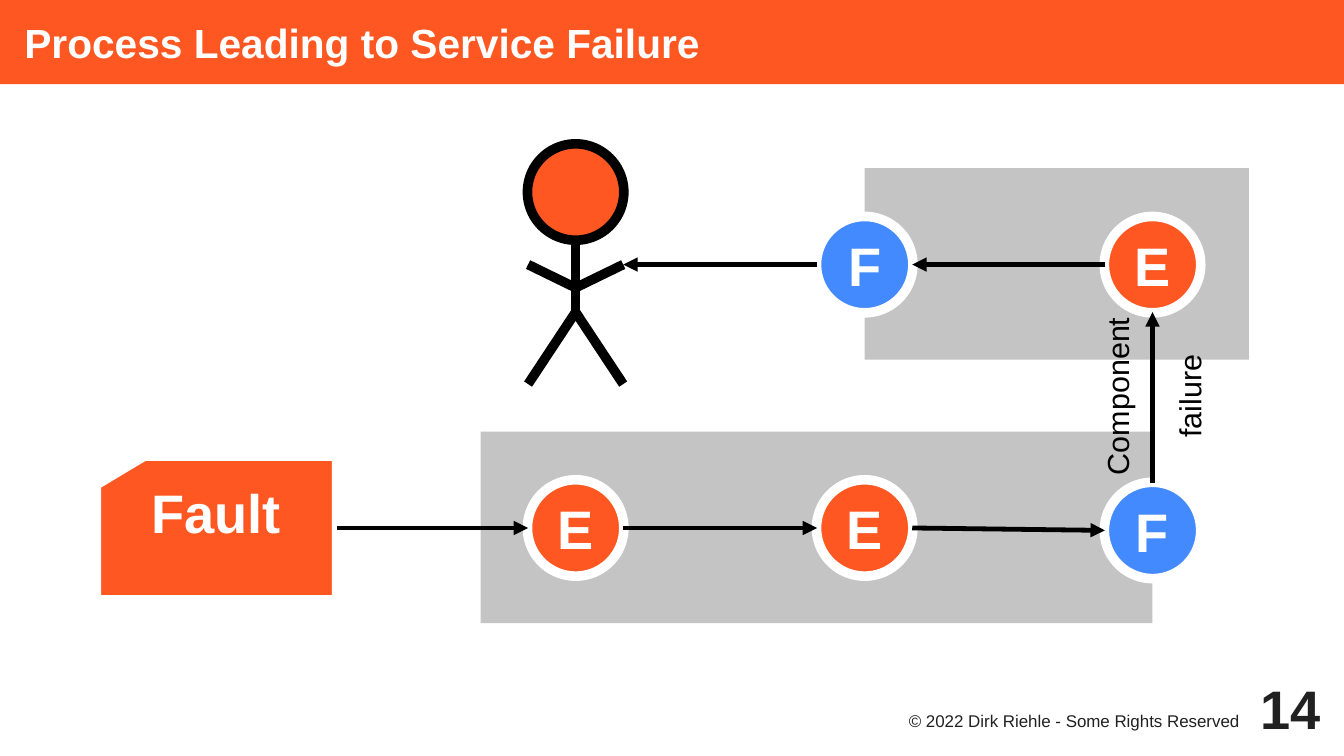
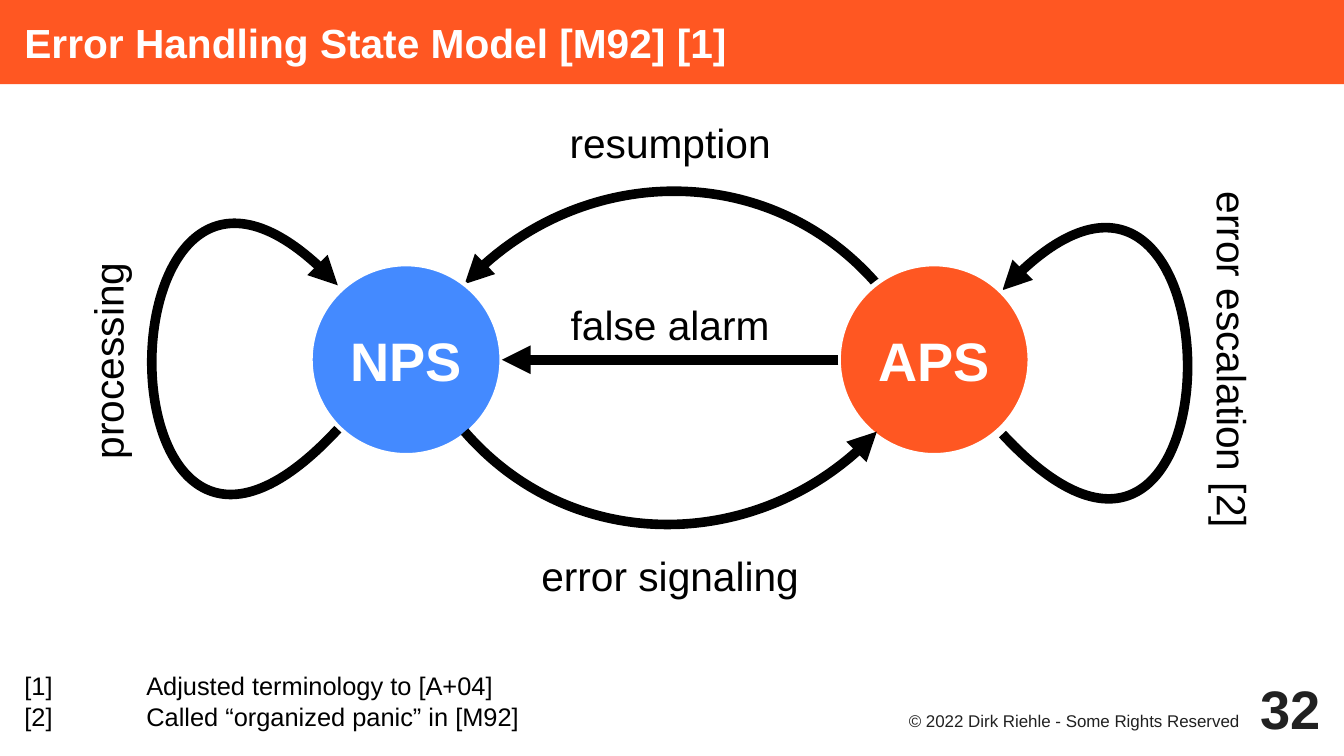
import pptx
import pptx.util
import pptx.dml.color
import pptx.enum.shapes
import pptx.enum.text
import pptx.oxml
import pptx.oxml.ns
from dataclasses import dataclass

Inches = pptx.util.Inches
Pt = pptx.util.Pt
Kind = pptx.enum.shapes.MSO_SHAPE
Align = pptx.enum.text.PP_ALIGN
Anchor = pptx.enum.text.MSO_ANCHOR
qn = pptx.oxml.ns.qn


def color(code):
    return pptx.dml.color.RGBColor.from_string(code)


@dataclass(frozen=True)
class Theme:
    font: str = "Arial"
    accent: str = "FF5722"
    blue: str = "448AFF"
    gray: str = "C4C4C4"
    dark: str = "212121"
    black: str = "000000"
    white: str = "FFFFFF"
    big: int = 32
    head: int = 24
    body: int = 18
    note: int = 15
    small: int = 10
    thick: float = 5.67
    thin: float = 2.83
    wide: float = 11.02
    high: float = 6.2


def tag(parent, name, **attrs):
    """Append a DrawingML child element."""
    node = parent.makeelement(qn(name), attrs)
    parent.append(node)
    return node


class Deck:
    def __init__(self, theme):
        self.theme = theme
        self.prs = pptx.Presentation()
        self.prs.slide_width = Inches(theme.wide)
        self.prs.slide_height = Inches(theme.high)

    def start(self, title, number):
        """Open a slide with its title band, notice and page number."""
        t = self.theme
        self.slide = self.prs.slides.add_slide(self.prs.slide_layouts[5])
        self.into = self.slide.shapes
        band = self.slide.shapes.title
        band.left = band.top = 0
        band.width, band.height = Inches(t.wide), Inches(0.69)
        band.fill.solid()
        band.fill.fore_color.rgb = color(t.accent)
        self.letter(band, [title], t.head, t.white, bold=True,
                    align=Align.LEFT, pad=(0.2, 0, 0, 0))
        self.text(["© 2022 Dirk Riehle - Some Rights Reserved"],
                  (7.09, 5.81, 3.15, 0.3), t.small, t.dark,
                  align=Align.RIGHT, anchor=Anchor.TOP, pad=(0, 0.02, 0.08, 0))
        self.text([str(number)], (10.04, 5.51, 0.79, 0.59), t.big, t.dark,
                  bold=True, align=Align.RIGHT)

    def letter(self, shape, lines, size, ink, bold=False, align=Align.CENTER,
               anchor=Anchor.MIDDLE, pad=(0, 0, 0, 0), wrap=True):
        """Put styled paragraphs into a shape."""
        frame = shape.text_frame
        frame.auto_size = pptx.enum.text.MSO_AUTO_SIZE.NONE
        frame.word_wrap = wrap
        frame.vertical_anchor = anchor
        (frame.margin_left, frame.margin_top,
         frame.margin_right, frame.margin_bottom) = map(Inches, pad)
        for i, line in enumerate(lines):
            para = frame.add_paragraph() if i else frame.paragraphs[0]
            para.alignment = align
            run = para.add_run()
            run.text = line
            run.font.name = self.theme.font
            run.font.size = Pt(size)
            run.font.bold = bold
            run.font.color.rgb = color(ink)

    def text(self, lines, box, size, ink, turn=0, **style):
        shape = self.into.add_textbox(*map(Inches, box))
        shape.rotation = turn
        self.letter(shape, lines, size, ink, **style)
        return shape.text_frame.paragraphs

    def label(self, line, x, y, wide, turn=0):
        """Put one line of text around a centre point."""
        high = 0.42
        self.text([line], (x - wide / 2, y - high / 2, wide, high),
                  self.theme.head, self.theme.black, turn=turn)

    def shape(self, kind, box, fill, edge=None, width=0):
        shape = self.into.add_shape(kind, *map(Inches, box))
        shape.shadow.inherit = False
        shape.fill.solid()
        shape.fill.fore_color.rgb = color(fill)
        if edge:
            shape.line.color.rgb = color(edge)
            shape.line.width = Pt(width)
        else:
            shape.line.fill.background()
        return shape

    def disc(self, line, x, y, size, fill, width):
        t = self.theme
        half = size / 2
        shape = self.shape(Kind.OVAL, (x - half, y - half, size, size),
                           fill, t.white, width)
        self.letter(shape, [line], t.big, t.white, bold=True, wrap=False)

    def stroke(self, shape, width, arrow):
        shape.line.color.rgb = color(self.theme.black)
        shape.line.width = Pt(width)
        if arrow:
            tag(shape.element.spPr.find(qn("a:ln")), "a:tailEnd",
                type="triangle")

    def line(self, start, end, width, arrow=True):
        link = self.into.add_connector(
            pptx.enum.shapes.MSO_CONNECTOR.STRAIGHT,
            *map(Inches, (*start, *end)))
        self.stroke(link, width, arrow)
        tag(link.element.spPr, "a:effectLst")
        return link

    def curve(self, *knots):
        """Draw a cubic arrow from its start, two controls and end."""
        def spot(u):
            v = 1 - u
            parts = (v ** 3, 3 * v * v * u, 3 * v * u * u, u ** 3)
            return tuple(int(Inches(sum(w * k[i] for w, k in zip(parts, knots))))
                         for i in (0, 1))

        spots = [spot(i / 40) for i in range(41)]
        pen = self.into.build_freeform(*spots[0], scale=1.0)
        pen.add_line_segments(spots[1:], close=False)
        shape = pen.convert_to_shape()
        route = shape.element.find(".//" + qn("a:path"))
        for step in route.findall(qn("a:lnTo")):
            route.remove(step)
        bend = tag(route, "a:cubicBezTo")
        for x, y in knots[1:]:
            tag(bend, "a:pt", x=str(Inches(x) - shape.left),
                y=str(Inches(y) - shape.top))
        shape.fill.background()
        self.stroke(shape, self.theme.thick, True)
        shape.shadow.inherit = False

    def person(self, x, top):
        t = self.theme
        self.into = self.slide.shapes.add_group_shape().shapes
        neck, hip = (x, top + 0.39), (x, top + 1.38)
        chest = (x, top + 1.18)
        limbs = [(neck, hip)]
        for side in (-0.39, 0.39):
            limbs += [(chest, (x + side, top + 0.99)),
                      (hip, (x + side, top + 1.97))]
        for start, end in limbs:
            self.line(start, end, t.thick, arrow=False)
        self.shape(Kind.OVAL, (x - 0.395, top, 0.79, 0.79),
                   t.accent, t.black, t.thick)
        self.into = self.slide.shapes


def process(deck):
    t = deck.theme
    deck.start("Process Leading to Service Failure", 14)
    left, mid, right = 4.72, 7.09, 9.45
    upper, lower, exit_y = 2.17, 4.33, 4.35
    gap = 0.39
    for box in ((mid, 1.38, 3.15, 1.57), (3.94, 3.54, 5.51, 1.57)):
        deck.shape(Kind.RECTANGLE, box, t.gray)
    deck.person(left, 1.18)

    card = deck.shape(Kind.FLOWCHART_CARD, (0.79, 3.74, 1.97, 1.18),
                      t.accent, t.white, t.thick)
    deck.letter(card, ["Fault"], t.big, t.white, bold=True,
                pad=(0.1, 0, 0.1, 0.5), wrap=False)
    for name, x, y in (("F", right, exit_y), ("E", mid, lower),
                       ("E", left, lower), ("F", mid, upper),
                       ("E", right, upper)):
        fill = t.accent if name == "E" else t.blue
        deck.disc(name, x, y, 0.79, fill, t.thick)

    for start, end in (
            ((left + gap, lower), (mid - gap, lower)),
            ((mid + gap, lower), (right - gap, exit_y)),
            ((right, exit_y - gap), (right, upper + gap)),
            ((right - gap, upper), (mid + gap, upper)),
            ((mid - gap, upper), (left + gap, upper))):
        deck.line(start, end, t.thin)
    link = deck.line((2.76, lower), (left - gap, lower), t.thin)
    link.begin_connect(card, 3)

    paras = deck.text(["Component", "failure"], (8.37, 2.66, 2.17, 1.18),
                      t.body, t.black, turn=270)
    paras[1].space_before = Pt(21)


def states(deck):
    t = deck.theme
    deck.start("Error Handling State Model [M92] [1]", 32)
    normal, alarm, row, size = 3.33, 7.66, 2.95, 1.57
    center = (normal + alarm) / 2
    deck.curve((7.19, 2.33), (6.33, 1.34), (4.71, 1.34), (3.81, 2.33))
    deck.disc("NPS", normal, row, size, t.blue, t.thin)
    deck.curve((8.22, 3.56), (10.22, 5.72), (10.22, 0.21), (8.22, 2.38))
    deck.disc("APS", alarm, row, size, t.accent, t.thin)
    deck.curve((2.77, 3.52), (0.76, 5.69), (0.76, 0.18), (2.77, 2.34))
    deck.line((alarm - size / 2, row), (normal + size / 2, row), t.thick)
    deck.curve((3.81, 3.54), (4.67, 4.53), (6.29, 4.53), (7.19, 3.54))

    for name, y in (("resumption", 1.17), ("false alarm", 2.66),
                    ("error signaling", 4.72)):
        deck.label(name, center, y, 4.33)
    deck.label("processing", 0.88, 2.96, 1.77, turn=270)
    deck.label("error escalation [2]", 10.11, row, 3.15, turn=90)

    notes = deck.text(["[1]\tAdjusted terminology to [A+04]",
                       "[2]\tCalled “organized panic” in [M92]"],
                      (0, 4.63, 7, 1.57), t.note, t.black, align=Align.LEFT,
                      anchor=Anchor.BOTTOM, pad=(0.2, 0, 0, 0.2))
    for para in notes:
        props = para._p.get_or_add_pPr()
        props.set("marL", str(Inches(1)))
        props.set("indent", str(-Inches(1)))


def main():
    deck = Deck(Theme())
    process(deck)
    states(deck)
    deck.prs.save("out.pptx")


if __name__ == "__main__":
    main()
